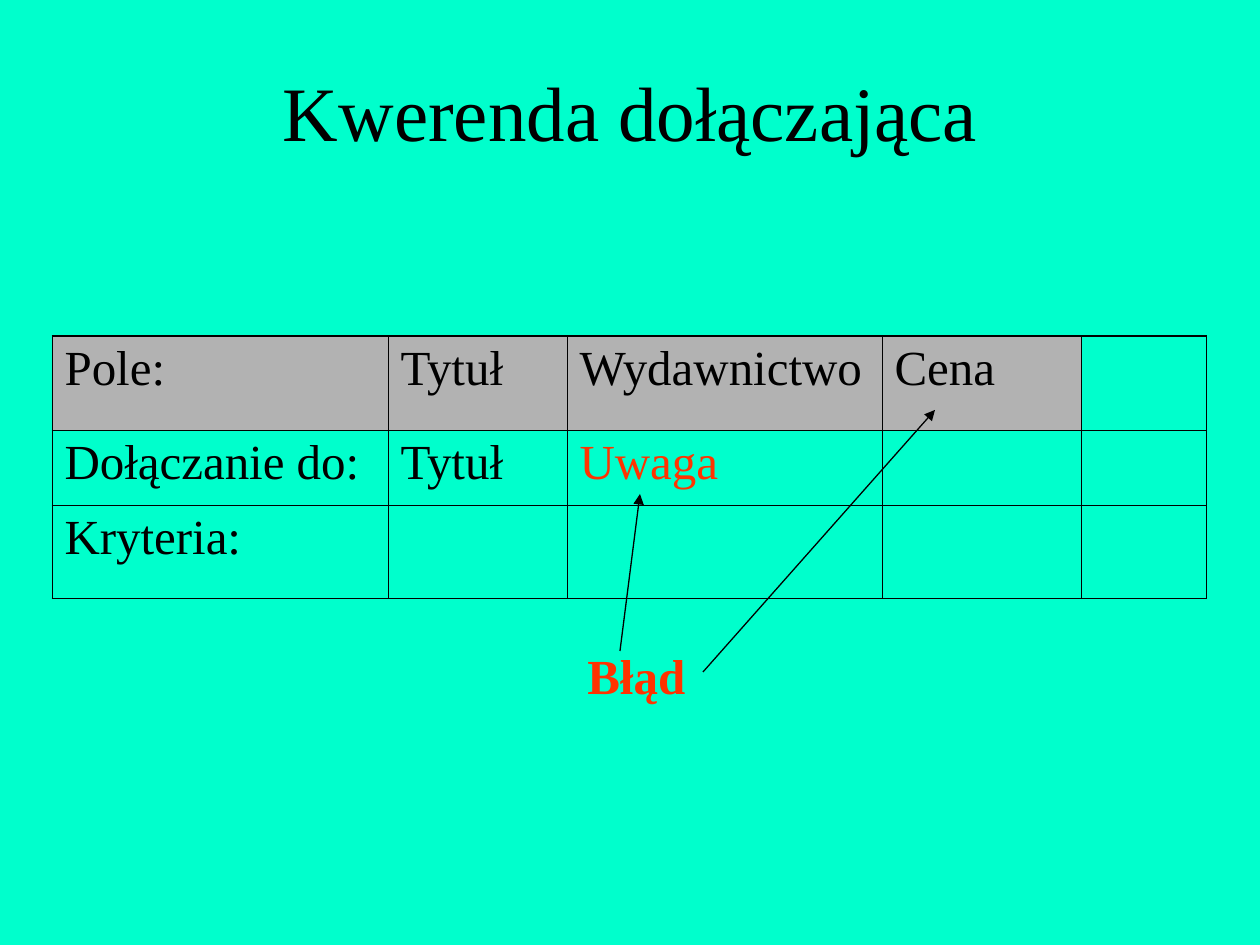
from lxml.etree import SubElement
from pptx import Presentation
from pptx.dml.color import RGBColor
from pptx.enum.shapes import MSO_CONNECTOR
from pptx.enum.text import MSO_ANCHOR, MSO_AUTO_SIZE, PP_ALIGN
from pptx.oxml.ns import qn
from pptx.util import Emu, Pt

PX = 914400 // 126
FONT = "Times New Roman"
BLACK, RED, GRAY, MINT = "000000", "FF3300", "B2B2B2", "00FFCC"
TOP_EDGE, THIN_EDGE = 1.08, 0.45

TITLE = "Kwerenda dołączająca"
QUERY = [
    ["Pole:", "Tytuł", "Wydawnictwo", "Cena", ""],
    ["Dołączanie do:", "Tytuł", "Uwaga", "", ""],
    ["Kryteria:", "", "", "", ""],
]
WRONG_FIELD = "Uwaga"
ERROR = "Błąd"
COLUMNS = [336, 179, 315, 199, 126]
ROWS = [94, 75, 94]
GRID_LEFT, GRID_TOP = 52, 336
ARROWS = [((620, 651), (640, 494)), ((703, 672), (935, 410))]


def px(*lengths):
    return [Emu(length * PX) for length in lengths]


def rgb(color):
    return RGBColor.from_string(color)


def write(frame, text, size=28, color=BLACK, bold=False, align=PP_ALIGN.LEFT):
    paragraph = frame.paragraphs[0]
    paragraph.alignment = align
    run = paragraph.add_run()
    run.text = text
    run.font.name = FONT
    run.font.size = Pt(size)
    run.font.bold = bold
    run.font.color.rgb = rgb(color)


def set_border(cell, side, width):
    edge = SubElement(cell._tc.get_or_add_tcPr(), qn(f"a:{side}"), w=str(Pt(width)))
    SubElement(SubElement(edge, qn("a:solidFill")), qn("a:srgbClr"), val=BLACK)


def fill_cell(cell, text, is_header):
    for side in ("lnL", "lnR", "lnT", "lnB"):
        set_border(cell, side, TOP_EDGE if is_header and side == "lnT" else THIN_EDGE)
    if is_header and text:
        cell.fill.solid()
        cell.fill.fore_color.rgb = rgb(GRAY)
    else:
        cell.fill.background()
    if text:
        write(cell.text_frame, text, color=RED if text == WRONG_FIELD else BLACK)


def add_query(slide):
    grid = slide.shapes.add_table(
        len(ROWS), len(COLUMNS),
        *px(GRID_LEFT, GRID_TOP, sum(COLUMNS), sum(ROWS))).table
    grid.first_row = grid.horz_banding = False
    for column, width in zip(grid.columns, COLUMNS):
        column.width = Emu(width * PX)
    for r, fields in enumerate(QUERY):
        grid.rows[r].height = Emu(ROWS[r] * PX)
        for c, field in enumerate(fields):
            fill_cell(grid.cell(r, c), field, is_header=r == 0)


def add_arrow(slide, start, end):
    arrow = slide.shapes.add_connector(MSO_CONNECTOR.STRAIGHT, *px(*start, *end))
    arrow.line.color.rgb = rgb(BLACK)
    arrow.line.width = Pt(0.75)
    SubElement(arrow.line._get_or_add_ln(), qn("a:tailEnd"), type="triangle")
    SubElement(arrow._element.spPr, qn("a:effectLst"))


def main():
    deck = Presentation()
    deck.slide_width, deck.slide_height = px(1260, 945)
    slide = deck.slides.add_slide(deck.slide_layouts[5])
    slide.background.fill.solid()
    slide.background.fill.fore_color.rgb = rgb(MINT)

    title = slide.shapes.title
    title.left, title.top, title.width, title.height = px(95, 32, 1071, 158)
    title.text_frame.vertical_anchor = MSO_ANCHOR.MIDDLE
    write(title.text_frame, TITLE, size=44, align=PP_ALIGN.CENTER)

    add_query(slide)

    error = slide.shapes.add_textbox(*px(575, 639, 130, 72)).text_frame
    error.word_wrap = False
    error.auto_size = MSO_AUTO_SIZE.SHAPE_TO_FIT_TEXT
    write(error, ERROR, color=RED, bold=True)
    for start, end in ARROWS:
        add_arrow(slide, start, end)

    deck.save("out.pptx")


if __name__ == "__main__":
    main()
